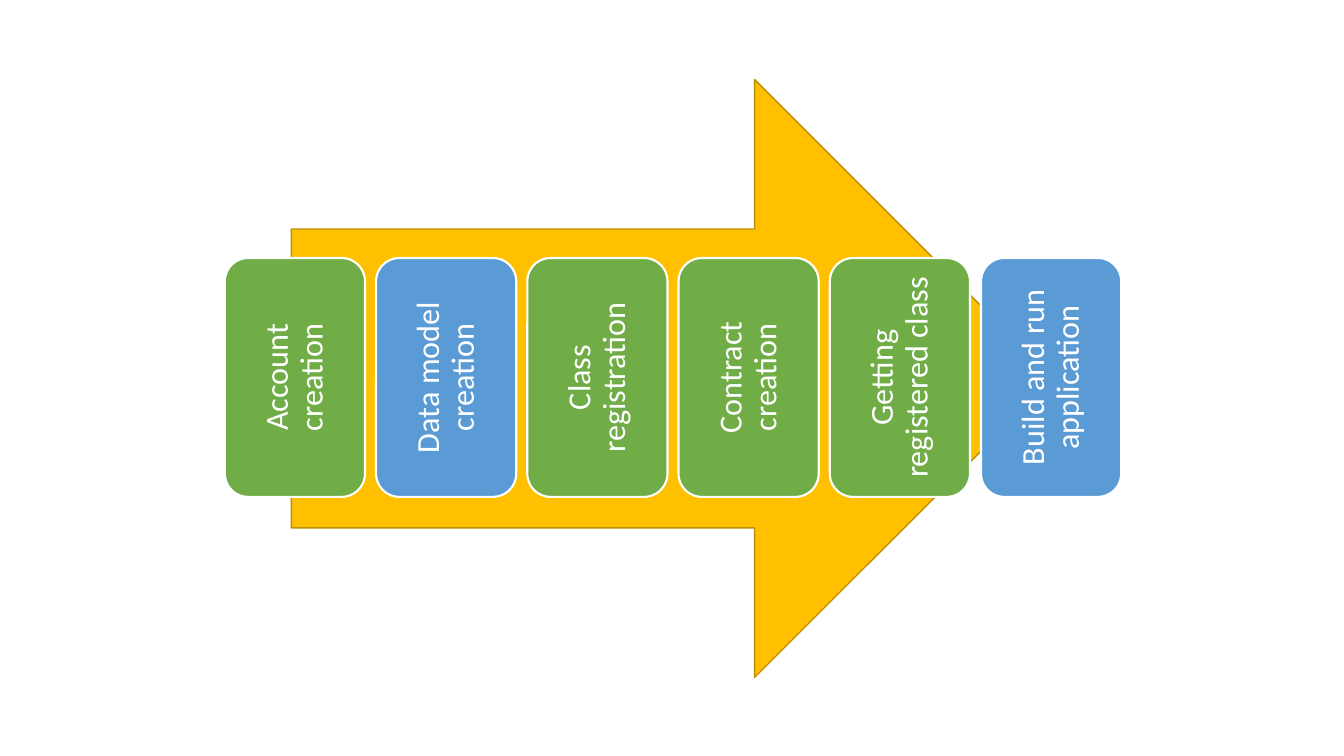
from dataclasses import dataclass

from pptx import Presentation
from pptx.dml.color import RGBColor
from pptx.enum.shapes import MSO_SHAPE
from pptx.enum.text import MSO_ANCHOR, PP_ALIGN
from pptx.util import Inches, Pt

RIGHT_ARROW = MSO_SHAPE.RIGHT_ARROW
ROUNDED = MSO_SHAPE.ROUNDED_RECTANGLE
MIDDLE = MSO_ANCHOR.MIDDLE
CENTER = PP_ALIGN.CENTER
BLANK_LAYOUT = 6


@dataclass(frozen=True)
class Theme:
    font: str = "Calibri"
    step_size: float = 23
    gold: str = "FFC000"
    dark_gold: str = "BD8E00"
    green: str = "70AD47"
    blue: str = "5B9BD5"
    white: str = "FFFFFF"


THEME = Theme()

STEPS = [
    ("Account creation", THEME.green),
    ("Data model creation", THEME.blue),
    ("Class registration", THEME.green),
    ("Contract creation", THEME.green),
    ("Getting registered class", THEME.green),
    ("Build and run application", THEME.blue),
]
STEP_LEFT, STEP_TOP = 2.23, 2.56
STEP_WIDTH, STEP_HEIGHT = 1.39, 2.37
STEP_PITCH = 1.5


def add_block(shapes, kind, box, fill, line, line_width):
    sp = shapes.add_shape(kind, *(Inches(v) for v in box))
    sp.shadow.inherit = False
    sp.fill.solid()
    sp.fill.fore_color.rgb = RGBColor.from_string(fill)
    sp.line.color.rgb = RGBColor.from_string(line)
    sp.line.width = Pt(line_width)
    return sp


def add_step(shapes, left, text, fill):
    box = (left, STEP_TOP, STEP_WIDTH, STEP_HEIGHT)
    sp = add_block(shapes, ROUNDED, box, fill, THEME.white, 1.5)
    tf = sp.text_frame
    tf.word_wrap = True
    tf.vertical_anchor = MIDDLE
    tf.margin_left = tf.margin_right = Inches(0.1)
    tf.margin_top = tf.margin_bottom = Inches(0.1)
    tf._txBody.bodyPr.set("vert", "vert270")
    p = tf.paragraphs[0]
    p.text = text
    p.alignment = CENTER
    p.line_spacing = 0.9
    p.font.name = THEME.font
    p.font.size = Pt(THEME.step_size)
    p.font.color.rgb = RGBColor.from_string(THEME.white)


def main():
    prs = Presentation()
    prs.slide_width = Inches(13.33)
    prs.slide_height = Inches(7.5)
    s = prs.slides.add_slide(prs.slide_layouts[BLANK_LAYOUT])
    process = s.shapes.add_group_shape().shapes
    arrow_box = (2.89, 0.79, 7.56, 5.93)
    add_block(process, RIGHT_ARROW, arrow_box, THEME.gold, THEME.dark_gold, 1)
    for i, (text, fill) in enumerate(STEPS):
        add_step(process, STEP_LEFT + i * STEP_PITCH, text, fill)
    prs.save("out.pptx")


main()
